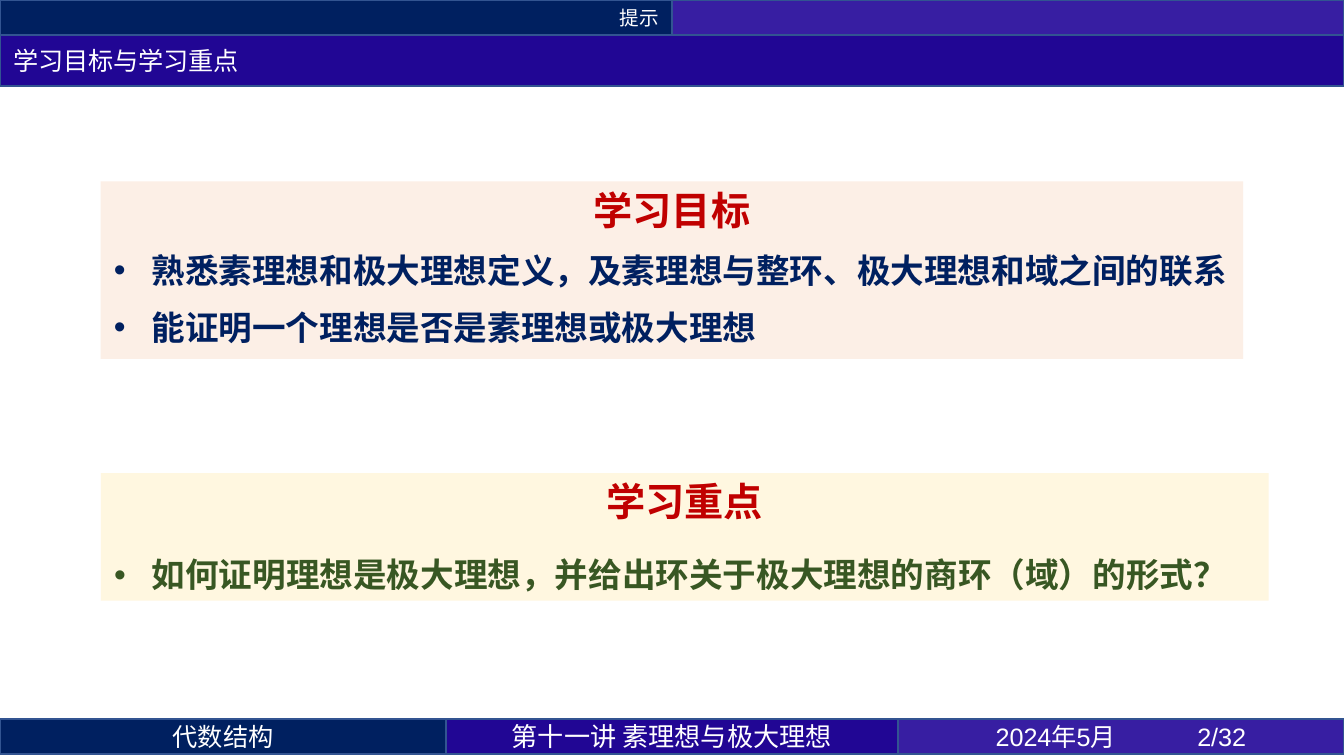
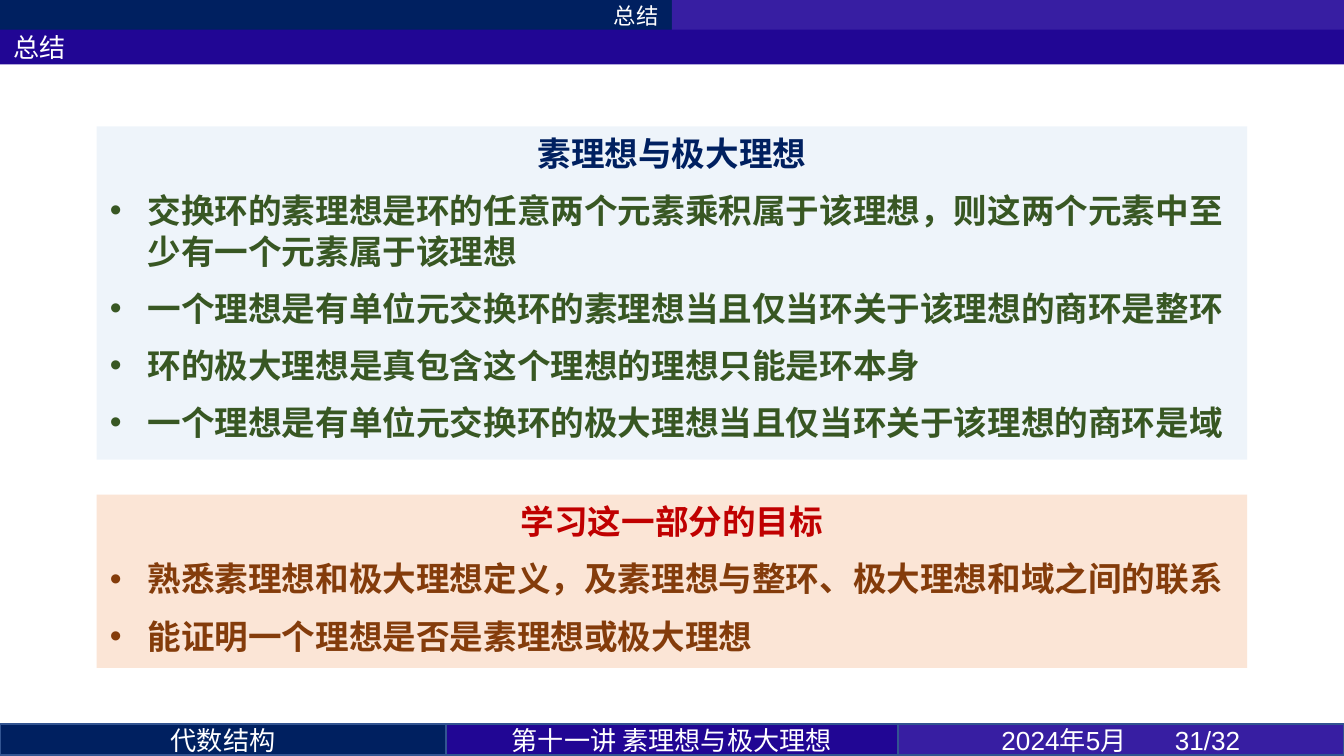
"""Build the goals slide and the summary slide of an algebra lecture."""
from lxml import etree
from pptx import Presentation
from pptx import util as u
from pptx.dml.color import RGBColor
from pptx.enum import shapes, text
from pptx.oxml import ns

NAVY, INDIGO, VIOLET, EDGE = "002060", "210694", "371EA2", "325491"
WHITE, RED, GREEN, BROWN = "FFFFFF", "C00000", "385723", "843C0B"
PEACH, CREAM, PALE_BLUE = "FBE5D6", "FFF2CC", "DEEBF7"
CJK, LATIN, BODY = "Noto Sans CJK SC", "Arial", "Calibri"
LEFT, CENTER, RIGHT = text.PP_ALIGN.LEFT, text.PP_ALIGN.CENTER, text.PP_ALIGN.RIGHT


def paint(color_format, color):
    color_format.rgb = RGBColor.from_string(color)


def add_box(slide, place, fill, lines=(), edge=None, opacity=100, anchor=text.MSO_ANCHOR.MIDDLE):
    shape = slide.shapes.add_shape(shapes.MSO_SHAPE.RECTANGLE, *map(u.Inches, place))
    shape.shadow.inherit = False
    shape.fill.solid()
    paint(shape.fill.fore_color, fill)
    if opacity < 100:
        solid = shape.fill._xPr.find(ns.qn("a:solidFill"))
        etree.SubElement(solid[0], ns.qn("a:alpha"), val=str(opacity * 1000))
    if edge:
        paint(shape.line.color, edge)
        shape.line.width = u.Pt(1)
    else:
        shape.line.fill.background()
    frame = shape.text_frame
    frame.word_wrap = True
    frame.vertical_anchor = anchor
    if anchor == text.MSO_ANCHOR.TOP:
        frame.auto_size = text.MSO_AUTO_SIZE.SHAPE_TO_FIT_TEXT
    for index, line in enumerate(lines):
        paragraph = frame.add_paragraph() if index else frame.paragraphs[0]
        for name, value in line["paragraph"].items():
            setattr(paragraph, name, value)
        run = paragraph.add_run()
        run.text = line["text"]
        for name, value in line["font"].items():
            setattr(run.font, name, value)
        paint(run.font.color, line["color"])
        etree.SubElement(run._r.get_or_add_rPr(), ns.qn("a:ea"), typeface=CJK)
        properties = paragraph._p.get_or_add_pPr()
        if line.get("bullet"):
            properties.set("marL", str(u.Inches(0.28)))
            properties.set("indent", str(-u.Inches(0.28)))
            etree.SubElement(properties, ns.qn("a:buFont"), typeface=LATIN)
            etree.SubElement(properties, ns.qn("a:buChar"), char="•")
        if line.get("tab"):
            stops = etree.SubElement(properties, ns.qn("a:tabLst"))
            etree.SubElement(stops, ns.qn("a:tab"), pos=str(u.Inches(line["tab"])), algn="l")


GOALS = ["熟悉素理想和极大理想定义，及素理想与整环、极大理想和域之间的联系",
         "能证明一个理想是否是素理想或极大理想"]
RESULTS = ["交换环的素理想是环的任意两个元素乘积属于该理想，则这两个元素中至少有一个元素属于该理想",
           "一个理想是有单位元交换环的素理想当且仅当环关于该理想的商环是整环",
           "环的极大理想是真包含这个理想的理想只能是环本身",
           "一个理想是有单位元交换环的极大理想当且仅当环关于该理想的商环是域"]
FOCUS = ["如何证明理想是极大理想，并给出环关于极大理想的商环（域）的形式？"]

SLIDES = [
    {"section": "提示", "section_size": 10.5, "section_height": 0.26,
     "title": "学习目标与学习重点", "title_size": 13.5, "title_top": 0.26, "title_height": 0.38,
     "header_edge": EDGE, "footer_top": 5.35, "footer_height": 0.26, "footer_size": 13.5,
     "page": "2/32", "tab": 1.5,
     "panels": [
         {"place": (0.75, 1.35, 8.5, 1.32), "fill": PEACH, "opacity": 60,
          "heading": "学习目标", "heading_font": (CJK, 21, RED), "heading_before": 4.5,
          "heading_spacing": 24, "items": GOALS, "item_font": (LATIN, NAVY)},
         {"place": (0.75, 3.52, 8.69, 0.95), "fill": CREAM, "opacity": 60,
          "heading": "学习重点", "heading_font": (CJK, 21, RED), "heading_before": 9,
          "heading_spacing": 24, "items": FOCUS, "item_font": (LATIN, GREEN),
          "item_before": 9, "item_spacing": 24}]},
    {"section": "总结", "section_size": 12, "section_height": 0.23,
     "title": "总结", "title_size": 14, "title_top": 0.22, "title_height": 0.26,
     "header_edge": None, "footer_top": 5.39, "footer_height": 0.23, "footer_size": 14,
     "page": "31/32", "tab": 1.29,
     "panels": [
         {"place": (0.72, 0.94, 8.56, 2.48), "fill": PALE_BLUE, "opacity": 50,
          "heading": "素理想与极大理想", "heading_font": (BODY, 18, NAVY), "heading_before": 4.5,
          "items": RESULTS, "item_font": (CJK, GREEN)},
         {"place": (0.72, 3.68, 8.56, 1.29), "fill": PEACH, "opacity": 100,
          "heading": "学习这一部分的目标", "heading_font": (BODY, 18, RED), "heading_before": 0,
          "items": GOALS, "item_font": (CJK, BROWN)}]},
]

presentation = Presentation()
presentation.slide_width = u.Inches(10)
presentation.slide_height = presentation.slide_width * 9 // 16

for page in SLIDES:
    slide = presentation.slides.add_slide(presentation.slide_layouts[6])
    edge = page["header_edge"]
    section = {"text": page["section"], "color": WHITE, "paragraph": {"alignment": RIGHT},
               "font": {"name": CJK, "size": u.Pt(page["section_size"])}}
    title = {"text": page["title"], "color": WHITE, "paragraph": {"alignment": LEFT},
             "font": {"name": BODY, "size": u.Pt(page["title_size"])}}
    add_box(slide, (0, 0, 5, page["section_height"]), NAVY, [section], edge)
    add_box(slide, (5, 0, 5, page["section_height"]), VIOLET, edge=edge)
    add_box(slide, (0, page["title_top"], 10, page["title_height"]), INDIGO, [title], edge)

    footers = [(0, 3.32, NAVY, "代数结构", CJK, page["footer_size"], None),
               (3.32, 3.36, INDIGO, "第十一讲 素理想与极大理想", CJK, 14, None),
               (6.68, 3.32, VIOLET, f"2024年5月\t{page['page']}", LATIN, page["footer_size"], page["tab"])]
    for left, width, fill, words, font, size, tab in footers:
        footer = {"text": words, "color": WHITE, "paragraph": {"alignment": CENTER},
                  "font": {"name": font, "size": u.Pt(size)}, "tab": tab}
        add_box(slide, (left, page["footer_top"], width, page["footer_height"]), fill, [footer], EDGE)

    for panel in page["panels"]:
        font, size, color = panel["heading_font"]
        heading_format = {"alignment": CENTER, "space_before": u.Pt(panel["heading_before"]),
                          "space_after": u.Pt(4.5)}
        item_format = {"alignment": LEFT, "space_before": u.Pt(panel.get("item_before", 4.5)),
                       "space_after": u.Pt(4.5)}
        for key, values in (("heading_spacing", heading_format), ("item_spacing", item_format)):
            if key in panel:
                values["line_spacing"] = u.Pt(panel[key])
        lines = [{"text": panel["heading"], "color": color, "paragraph": heading_format,
                  "font": {"name": font, "size": u.Pt(size), "bold": True}}]
        font, color = panel["item_font"]
        for item in panel["items"]:
            lines.append({"text": item, "color": color, "paragraph": item_format, "bullet": True,
                          "font": {"name": font, "size": u.Pt(18), "bold": True}})
        add_box(slide, panel["place"], panel["fill"], lines, opacity=panel["opacity"],
                anchor=text.MSO_ANCHOR.TOP)

presentation.save("out.pptx")
